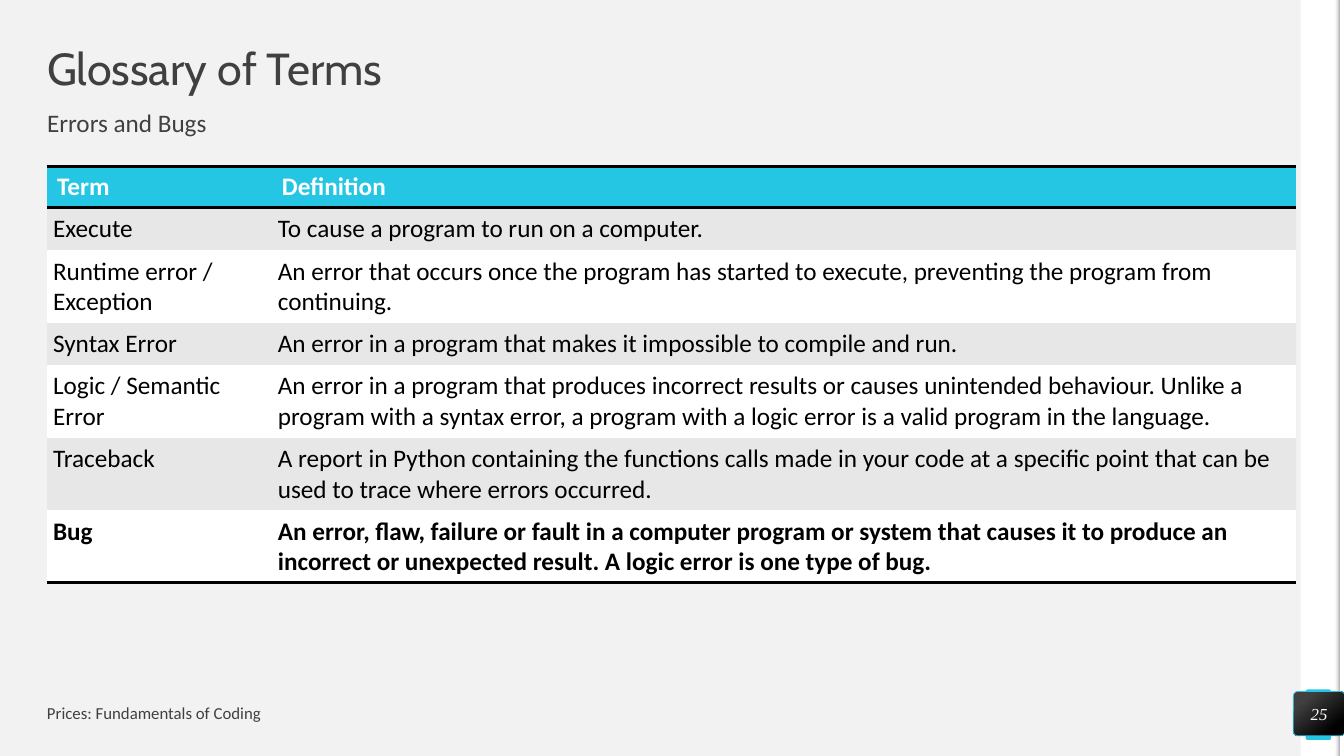
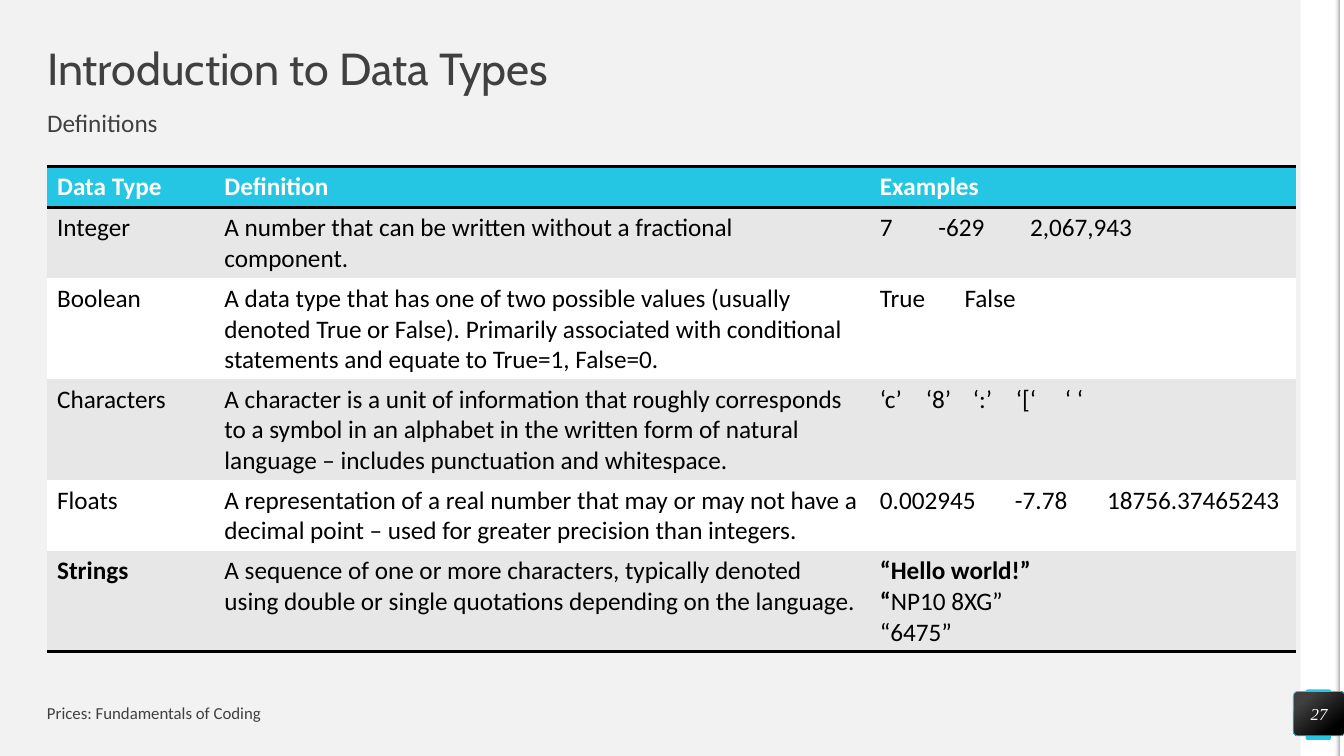
from lxml.etree import SubElement
from pptx import Presentation
from pptx.dml.color import RGBColor
from pptx.enum.shapes import MSO_SHAPE
from pptx.enum.text import MSO_ANCHOR, PP_ALIGN
from pptx.oxml.ns import qn
from pptx.util import Inches, Pt

WIDTH, HEIGHT = Inches(13.33), Inches(7.5)
LEFT, CONTENT = 3.5, 92.95
BODY, HEADING, NUMERAL = "Calibri", "Cabin", "Times New Roman"
GREY, CYAN, WHITE, BLACK = "404040", "25C6E3", "FFFFFF", "000000"
PAPER, BAND, SHADE = "F2F2F2", "E7E7E7", "A6A6A6"
NO_GRID_STYLE = "{2D5ABB26-0587-4C30-8999-92F81FD0307C}"


def rgb(value):
    return RGBColor.from_string(value)


def across(percent):
    return round(WIDTH * percent / 100)


def down(percent):
    return round(HEIGHT * percent / 100)


def place(left, top, width, height):
    return across(left), down(top), across(width), down(height)


class Deck:
    def __init__(self):
        self.prs = Presentation()
        self.prs.slide_width, self.prs.slide_height = WIDTH, HEIGHT
        self.s = None

    def slide(self, title, subtitle, number):
        self.s = self.prs.slides.add_slide(self.prs.slide_layouts[6])
        self.s.background.fill.solid()
        self.s.background.fill.fore_color.rgb = rgb(PAPER)
        self.shape((96.77, 0, 2.93, 100), WHITE)
        self.shape((97.15, 91.2, 1.88, 6.67), CYAN, radius=0.07)
        self.shape((99.66, 0, 0.34, 100), WHITE)
        edge = self.shape((99.29, 0, 0.37, 100))
        self.gradient(edge, ((0, PAPER), (1, SHADE)), 0)
        clear = next(edge._element.iter(qn("a:srgbClr")))
        SubElement(clear, qn("a:alpha")).set("val", "0")
        self.text((LEFT, 6.27, CONTENT, 6.27), title, 32, HEADING, spacing=0.9)
        self.text((LEFT, 14.67, CONTENT, 5.2), subtitle, 18,
                  anchor=MSO_ANCHOR.TOP, spacing=0.9)
        self.text((LEFT, 92.8, 45, 2.93), "Prices: Fundamentals of Coding", 12)
        self.badge(number)

    def shape(self, box, fill=None, radius=None):
        kind = MSO_SHAPE.RECTANGLE if radius is None else MSO_SHAPE.ROUNDED_RECTANGLE
        sp = self.s.shapes.add_shape(kind, *place(*box))
        sp.shadow.inherit = False
        sp.line.fill.background()
        if radius is not None:
            sp.adjustments[0] = radius
        if fill:
            sp.fill.solid()
            sp.fill.fore_color.rgb = rgb(fill)
        return sp

    def gradient(self, sp, colours, angle):
        sp.fill.gradient()
        sp.fill.gradient_angle = angle
        for stop, (position, colour) in zip(sp.fill.gradient_stops, colours):
            stop.position = position
            stop.color.rgb = rgb(colour)

    def run(self, p, text, size, font=BODY, colour=GREY, bold=False, italic=False):
        r = p.add_run()
        r.text = text
        r.font.size, r.font.name = Pt(size), font
        r.font.bold, r.font.italic = bold, italic
        r.font.color.rgb = rgb(colour)

    def frame(self, tf, anchor):
        tf.word_wrap = True
        tf.vertical_anchor = anchor
        tf.margin_left = tf.margin_right = tf.margin_top = tf.margin_bottom = 0
        return tf.paragraphs[0]

    def text(self, box, text, size, font=BODY, anchor=MSO_ANCHOR.MIDDLE, spacing=1.0):
        sp = self.s.shapes.add_textbox(*place(*box))
        p = self.frame(sp.text_frame, anchor)
        p.line_spacing = spacing
        self.run(p, text, size, font)

    def badge(self, number):
        sp = self.shape((96.23, 91.47, 3.83, 5.87), radius=0.1)
        self.gradient(sp, ((0.2, GREY), (0.82, BLACK)), 310)
        sp.line.color.rgb = rgb(CYAN)
        sp.line.width = Pt(0.5)
        p = self.frame(sp.text_frame, MSO_ANCHOR.MIDDLE)
        p.alignment = PP_ALIGN.CENTER
        self.run(p, str(number), 12, NUMERAL, WHITE, italic=True)

    def border(self, cell, side):
        ln = SubElement(cell._tc.get_or_add_tcPr(), qn("a:" + side))
        ln.set("w", str(Pt(2)))
        fill = SubElement(ln, qn("a:solidFill"))
        SubElement(fill, qn("a:srgbClr")).set("val", BLACK)

    def tabs(self, p, stops):
        tab_list = SubElement(p._p.get_or_add_pPr(), qn("a:tabLst"))
        for stop in stops:
            tab = SubElement(tab_list, qn("a:tab"))
            tab.set("pos", str(across(stop)))
            tab.set("algn", "l")

    def cell(self, cell, text, header, stops):
        tf = cell.text_frame
        for i, line in enumerate(text.split("\n")):
            p = tf.add_paragraph() if i else tf.paragraphs[0]
            if stops and "\t" in line:
                self.tabs(p, stops)
            for j, part in enumerate(line.split("*")):
                if part:
                    self.run(p, part, 18, colour=WHITE if header else BLACK,
                             bold=header or j % 2 == 1)

    def table(self, widths, rows, inset=None, stops=None):
        box = place(LEFT, 22, sum(widths), 5.47 * len(rows))
        table = self.s.shapes.add_table(len(rows), len(widths), *box).table
        table._tbl.tblPr.find(qn("a:tableStyleId")).text = NO_GRID_STYLE
        for column, width in zip(table.columns, widths):
            column.width = across(width)
        for i, row in enumerate(rows):
            for j, text in enumerate(row):
                cell = table.cell(i, j)
                if i == 0:
                    self.border(cell, "lnT")
                if i in (0, len(rows) - 1):
                    self.border(cell, "lnB")
                cell.fill.solid()
                cell.fill.fore_color.rgb = rgb(CYAN if i == 0 else BAND if i % 2 else WHITE)
                if inset and i:
                    cell.margin_left = cell.margin_right = across(inset[0])
                    cell.margin_top = cell.margin_bottom = down(inset[1])
                self.cell(cell, text, i == 0, (stops or {}).get(i))


GLOSSARY = [
    ("Term", "Definition"),
    ("Execute", "To cause a program to run on a computer."),
    ("Runtime error / Exception",
     "An error that occurs once the program has started to execute, "
     "preventing the program from continuing."),
    ("Syntax Error", "An error in a program that makes it impossible to compile and run."),
    ("Logic / Semantic Error",
     "An error in a program that produces incorrect results or causes unintended "
     "behaviour. Unlike a program with a syntax error, a program with a logic error "
     "is a valid program in the language."),
    ("Traceback",
     "A report in Python containing the functions calls made in your code at a "
     "specific point that can be used to trace where errors occurred."),
    ("*Bug*",
     "*An error, flaw, failure or fault in a computer program or system that causes it "
     "to produce an incorrect or unexpected result. A logic error is one type of bug.*"),
]

DATA_TYPES = [
    ("Data Type", "Definition", "Examples"),
    ("Integer", "A number that can be written without a fractional component.",
     "7\t-629\t2,067,943"),
    ("Boolean",
     "A data type that has one of two possible values (usually denoted True or False). "
     "Primarily associated with conditional statements and equate to True=1, False=0.",
     "True\tFalse"),
    ("Characters",
     "A character is a unit of information that roughly corresponds to a symbol in an "
     "alphabet in the written form of natural language – includes punctuation and "
     "whitespace.",
     "‘c’\t‘8’\t‘:’\t‘[‘\t‘ ‘"),
    ("Floats",
     "A representation of a real number that may or may not have a decimal point – "
     "used for greater precision than integers.",
     "0.002945\t-7.78\t18756.37465243"),
    ("*Strings*",
     "A sequence of one or more characters, typically denoted using double or single "
     "quotations depending on the language.",
     "*“Hello world!”*\n*“*NP10 8XG”\n“6475”"),
]

EXAMPLE_STOPS = {
    1: (4.35, 11.18),
    2: (6.3,),
    3: (3.42, 6.92, 10.12, 13.76),
    4: (10.05, 16.9),
}


def main():
    deck = Deck()
    deck.slide("Glossary of Terms", "Errors and Bugs", 25)
    deck.table((16.73, 76.22), GLOSSARY, inset=(0.45, 0.8))
    deck.slide("Introduction to Data Types", "Definitions", 27)
    deck.table((12.45, 48.77, 31.73), DATA_TYPES, stops=EXAMPLE_STOPS)
    deck.prs.save("out.pptx")


if __name__ == "__main__":
    main()
